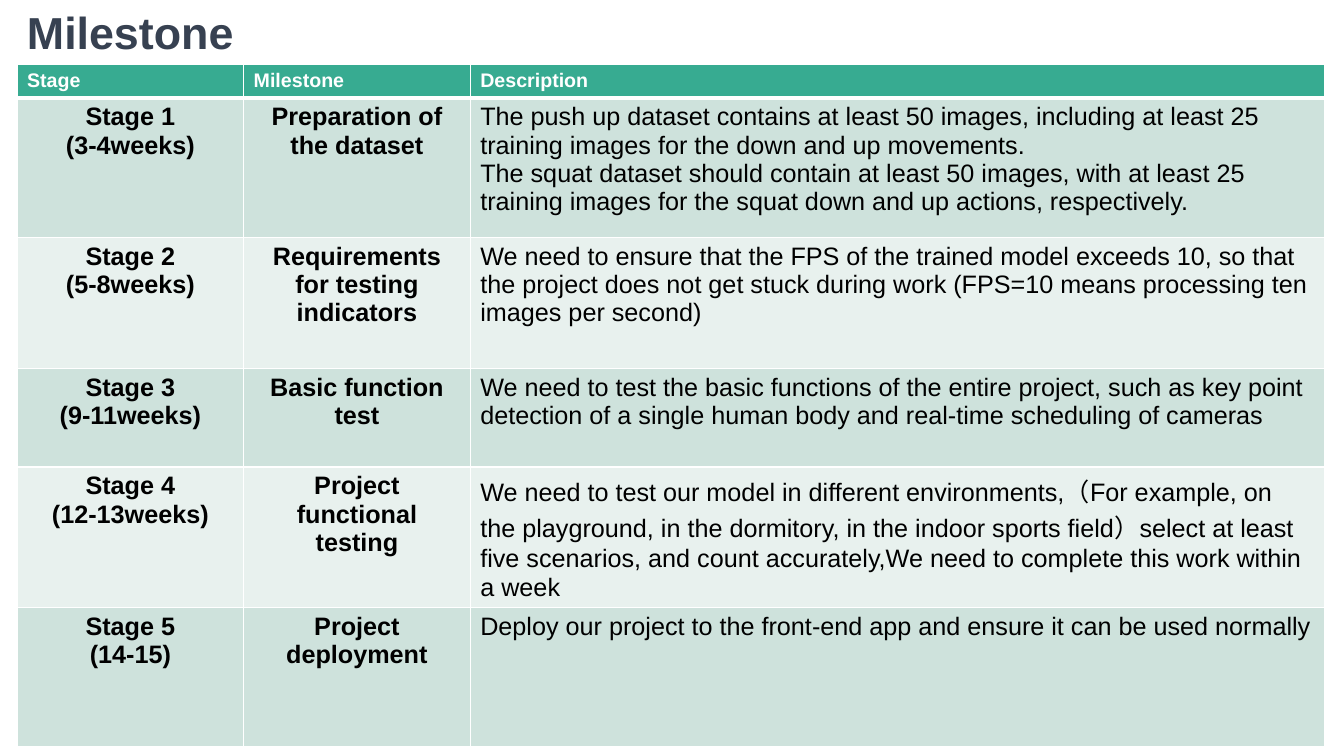
from dataclasses import dataclass

from lxml import etree
from pptx import Presentation
from pptx import util as u
from pptx.dml.color import RGBColor
from pptx.enum import text
from pptx.oxml import ns

WHITE, BLACK, SLATE = "FFFFFF", "000000", "374151"
HEADER_FILL = "37AB91"
BAND_FILLS = ("CEE2DC", "E8F1EE")
COLUMN_WIDTHS = (5.71, 5.71, 21.52)
HEADER_HEIGHT = 0.84
LEFT = 0.43
TABLE_TOP = 1.63

TITLE_FORMAT = {"name": "Arial", "size": u.Pt(32), "bold": True}
HEADER_FORMAT = {"name": "Arial", "size": u.Pt(14), "bold": True}
LABEL_FORMAT = {"name": "Arial", "size": u.Pt(18), "bold": True}
BODY_FORMAT = {"name": "Arial", "size": u.Pt(18), "bold": False}


@dataclass(frozen=True)
class Stage:
    name: str
    weeks: str
    milestone: str
    description: tuple[str, ...]
    height: float


STAGES = (
    Stage("Stage 1", "(3-4weeks)", "Preparation of the dataset", (
        "The push up dataset contains at least 50 images, including at least 25 "
        "training images for the down and up movements.",
        "The squat dataset should contain at least 50 images, with at least 25 "
        "training images for the squat down and up actions, respectively."), 3.51),
    Stage("Stage 2", "(5-8weeks)", "Requirements for testing indicators", (
        "We need to ensure that the FPS of the trained model exceeds 10, so that "
        "the project does not get stuck during work (FPS=10 means processing ten "
        "images per second)",), 3.3),
    Stage("Stage 3", "(9-11weeks)", "Basic function test", (
        "We need to test the basic functions of the entire project, such as key point "
        "detection of a single human body and real-time scheduling of cameras",), 2.49),
    Stage("Stage 4", "(12-13weeks)", "Project functional testing", (
        "We need to test our model in different environments,（For example, on "
        "the playground, in the dormitory, in the indoor sports field）select at least "
        "five scenarios, and count accurately,We need to complete this work within "
        "a week",), 3.53),
    Stage("Stage 5", "(14-15)", "Project deployment", (
        "Deploy our project to the front-end app and ensure it can be used normally",), 3.51),
)


def color(value: str) -> RGBColor:
    return RGBColor.from_string(value)


def write(frame, lines: tuple[str, ...], font_format: dict, font_color: str,
          alignment=text.PP_ALIGN.LEFT) -> None:
    for index, line in enumerate(lines):
        paragraph = frame.paragraphs[0] if index == 0 else frame.add_paragraph()
        paragraph.alignment = alignment
        run = paragraph.add_run()
        run.text = line
        for name, value in font_format.items():
            setattr(run.font, name, value)
        run.font.color.rgb = color(font_color)


def style_cell(cell, fill: str, top: float = 1, bottom: float = 1) -> None:
    properties = cell._tc.get_or_add_tcPr()
    for side, width in {"L": 1, "R": 1, "T": top, "B": bottom}.items():
        border = etree.SubElement(properties, ns.qn(f"a:ln{side}"), w=str(u.Pt(width)))
        solid = etree.SubElement(border, ns.qn("a:solidFill"))
        etree.SubElement(solid, ns.qn("a:srgbClr"), val=WHITE)
    cell.fill.solid()
    cell.fill.fore_color.rgb = color(fill)


def add_title(slide) -> None:
    box = slide.shapes.add_textbox(u.Cm(LEFT), u.Cm(0), u.Cm(12.24), u.Cm(TABLE_TOP))
    box.text_frame.word_wrap = True
    write(box.text_frame, ("Milestone",), TITLE_FORMAT, SLATE)


def add_milestone_table(slide) -> None:
    heights = (HEADER_HEIGHT, *(stage.height for stage in STAGES))
    table = slide.shapes.add_table(
        len(heights), len(COLUMN_WIDTHS), u.Cm(LEFT), u.Cm(TABLE_TOP),
        u.Cm(sum(COLUMN_WIDTHS)), u.Cm(sum(heights))).table
    for column, width in zip(table.columns, COLUMN_WIDTHS):
        column.width = u.Cm(width)
    for row, height in zip(table.rows, heights):
        row.height = u.Cm(height)

    for column, heading in enumerate(("Stage", "Milestone", "Description")):
        cell = table.cell(0, column)
        style_cell(cell, HEADER_FILL, bottom=3)
        write(cell.text_frame, (heading,), HEADER_FORMAT, WHITE)

    center, left = text.PP_ALIGN.CENTER, text.PP_ALIGN.LEFT
    for row, stage in enumerate(STAGES, start=1):
        contents = (
            ((stage.name, stage.weeks), LABEL_FORMAT, center),
            ((stage.milestone,), LABEL_FORMAT, center),
            (stage.description, BODY_FORMAT, left),
        )
        for column, (lines, font_format, alignment) in enumerate(contents):
            cell = table.cell(row, column)
            style_cell(cell, BAND_FILLS[(row - 1) % 2], top=3 if row == 1 else 1)
            write(cell.text_frame, lines, font_format, BLACK, alignment)


def main() -> None:
    presentation = Presentation()
    presentation.slide_width = u.Cm(33.87)
    presentation.slide_height = u.Cm(19.05)
    slide = presentation.slides.add_slide(presentation.slide_layouts[6])
    add_milestone_table(slide)
    add_title(slide)
    presentation.save("out.pptx")


if __name__ == "__main__":
    main()
